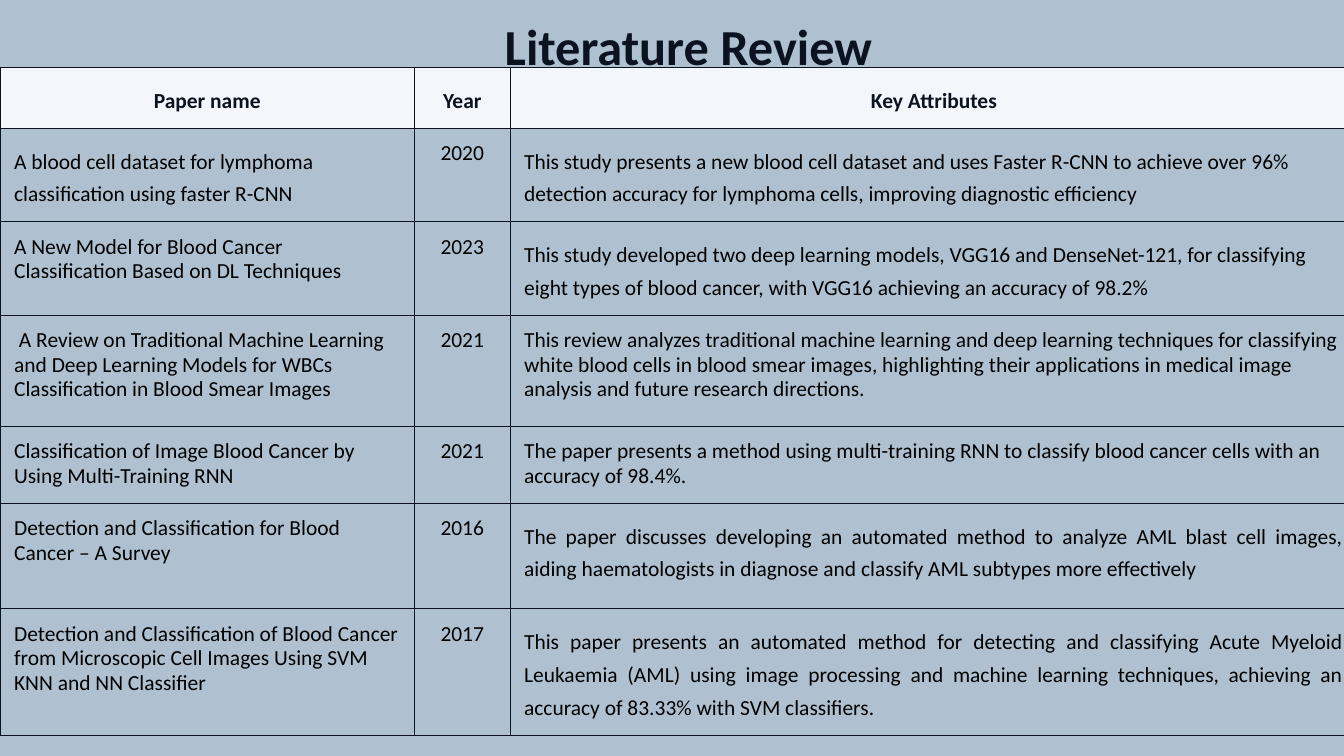
from lxml import etree
from pptx import Presentation
from pptx import util as u
from pptx.dml.color import RGBColor
from pptx.enum import text
from pptx.oxml import ns

INK = RGBColor(0x0B, 0x13, 0x20)
BLACK = RGBColor(0, 0, 0)
MIST = RGBColor(0xAF, 0xC1, 0xD0)
PALE = RGBColor(0xF3, 0xF6, 0xFA)

LEFT, CENTER, JUSTIFY = text.PP_ALIGN.LEFT, text.PP_ALIGN.CENTER, text.PP_ALIGN.JUSTIFY
TIGHT, LOOSE = 26.2, 35

HEADINGS = ("Paper name", "Year", "Key Attributes")
COLUMN_WIDTHS = (6.17, 1.42, 12.62)
ROW_HEIGHTS = (0.81, 1.27, 1.17, 1.65, 0.96, 1.57, 1.56)
PAPERS = (
    ("A blood cell dataset for lymphoma classification using faster R-CNN", LOOSE, "2020",
     "This study presents a new blood cell dataset and uses Faster R-CNN to achieve over 96% "
     "detection accuracy for lymphoma cells, improving diagnostic efficiency", LOOSE, LEFT),
    ("A New Model for Blood Cancer Classification Based on DL Techniques", TIGHT, "2023",
     "This study developed two deep learning models, VGG16 and DenseNet-121, for classifying "
     "eight types of blood cancer, with VGG16 achieving an accuracy of 98.2%", LOOSE, LEFT),
    (" A Review on Traditional Machine Learning and Deep Learning Models for WBCs "
     "Classification in Blood Smear Images", TIGHT, "2021",
     "This review analyzes traditional machine learning and deep learning techniques for "
     "classifying white blood cells in blood smear images, highlighting their applications in "
     "medical image analysis and future research directions.", TIGHT, LEFT),
    ("Classification of Image Blood Cancer by Using Multi-Training RNN", TIGHT, "2021",
     "The paper presents a method using multi-training RNN to classify blood cancer cells "
     "with an accuracy of 98.4%.", TIGHT, LEFT),
    ("Detection and Classification for Blood Cancer – A Survey", TIGHT, "2016",
     "The paper discusses developing an automated method to analyze AML blast cell images, "
     "aiding haematologists in diagnose and classify AML subtypes more effectively",
     LOOSE, JUSTIFY),
    ("Detection and Classification of Blood Cancer from Microscopic Cell Images Using SVM "
     "KNN and NN Classifier", TIGHT, "2017",
     "This paper presents an automated method for detecting and classifying Acute Myeloid "
     "Leukaemia (AML) using image processing and machine learning techniques, achieving an "
     "accuracy of 83.33% with SVM classifiers.", LOOSE, JUSTIFY),
)


class ReviewSlide:
    """Holds the review style and the slide being built."""

    font = "Calibri"
    title_size, table_size = 54, 23
    inset = u.Inches(0.21)

    def __init__(self, deck):
        self.deck = deck
        self.page = deck.slides.add_slide(deck.slide_layouts[5])
        self.page.background.fill.solid()
        self.page.background.fill.fore_color.rgb = MIST

    def place(self, left, top, width, height):
        wide, high = self.deck.slide_width, self.deck.slide_height
        return [u.Emu(round(size)) for size in
                (left * wide, top * high, width * wide, height * high)]

    def add_words(self, frame, words, size, color, bold, align, spacing):
        para = frame.paragraphs[0]
        para.alignment = align
        para.line_spacing = u.Pt(spacing)
        span = para.add_run()
        span.text = words
        span.font.name = self.font
        span.font.size = u.Pt(size)
        span.font.bold = bold
        span.font.color.rgb = color

    def title(self, words, *share):
        box = self.page.shapes.title
        box.left, box.top, box.width, box.height = self.place(*share)
        frame = box.text_frame
        frame.margin_left = frame.margin_right = frame.margin_top = frame.margin_bottom = 0
        frame.vertical_anchor = text.MSO_ANCHOR.TOP
        frame.word_wrap = True
        frame.auto_size = text.MSO_AUTO_SIZE.SHAPE_TO_FIT_TEXT
        self.add_words(frame, words, self.title_size, INK, True, CENTER, 78)

    def border(self, cell):
        properties = cell._tc.get_or_add_tcPr()
        for side in ("a:lnL", "a:lnR", "a:lnT", "a:lnB"):
            line = etree.SubElement(properties, ns.qn(side), w=str(u.Pt(0.75)))
            fill = etree.SubElement(line, ns.qn("a:solidFill"))
            etree.SubElement(fill, ns.qn("a:srgbClr"), val=str(INK))

    def cell(self, cell, words, align, spacing, heading=False):
        cell.margin_left = cell.margin_right = self.inset
        cell.margin_top = cell.margin_bottom = self.inset
        self.border(cell)
        if heading:
            cell.vertical_anchor = text.MSO_ANCHOR.MIDDLE
            cell.fill.solid()
            cell.fill.fore_color.rgb = PALE
        else:
            cell.fill.background()
        color = INK if heading else BLACK
        self.add_words(cell.text_frame, words, self.table_size, color, heading, align, spacing)

    def table(self, headings, papers, *share):
        area = self.place(*share)
        holder = self.page.shapes.add_table(len(papers) + 1, len(headings), *area)
        table = holder.table
        table.first_row = table.horz_banding = False
        for column, width in zip(table.columns, COLUMN_WIDTHS):
            column.width = u.Inches(width)
        for row, height in zip(table.rows, ROW_HEIGHTS):
            row.height = u.Inches(height)
        holder.height = area[3]
        for column, words in enumerate(headings):
            self.cell(table.cell(0, column), words, CENTER, LOOSE, heading=True)
        for row, (name, name_spacing, year, finding, spacing, align) in enumerate(papers, 1):
            self.cell(table.cell(row, 0), name, LEFT, name_spacing)
            self.cell(table.cell(row, 1), year, CENTER, TIGHT)
            self.cell(table.cell(row, 2), finding, align, spacing)


def main():
    deck = Presentation()
    deck.slide_width, deck.slide_height = u.Inches(20), u.Inches(11.25)
    review = ReviewSlide(deck)
    review.title("Literature Review", 3.11 / 20, 0.04 / 11.25, 14.27 / 20, 1.02 / 11.25)
    review.table(HEADINGS, PAPERS, 0, 1 / 11.25, 20.2 / 20, 10.25 / 11.25)
    deck.save("out.pptx")


if __name__ == "__main__":
    main()
